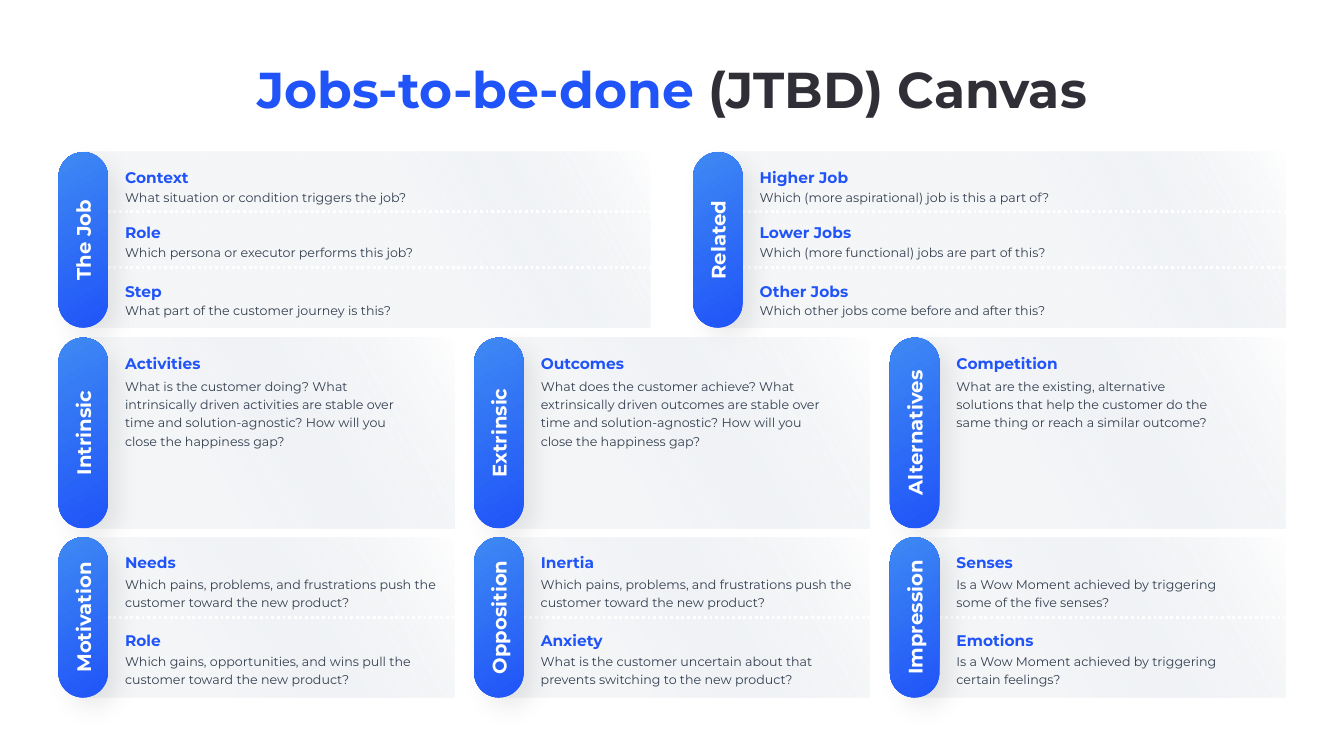
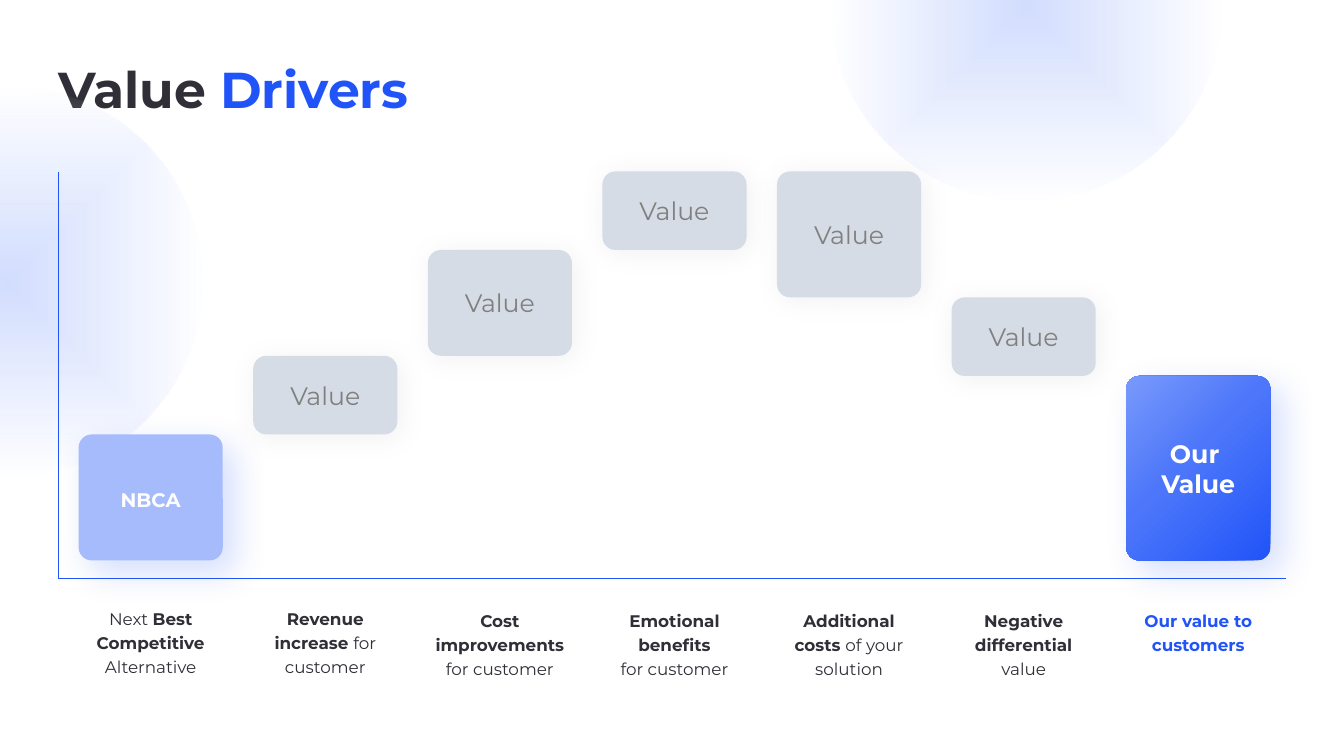
from pptx import Presentation
from pptx.dml.color import RGBColor
from pptx.enum.dml import MSO_LINE
from pptx.enum.shapes import MSO_CONNECTOR, MSO_SHAPE
from pptx.enum.text import MSO_ANCHOR, MSO_AUTO_SIZE, PP_ALIGN
from pptx.oxml import parse_xml
from pptx.oxml.ns import nsdecls, qn
from pptx.util import Inches, Pt

COLORS = {
    "blue": "2054F8", "sky": "3E89F3", "mid": "4D77FA", "pale": "7999FB",
    "light": "A6BBFC", "glow": "D2DDFE", "grey": "D6DCE5", "dim": "808080",
    "slate": "333F50", "ink": "302F37", "white": "FFFFFF", "black": "000000",
}
FONT = "Montserrat"
WIDTH, HEIGHT = 13.33, 7.5
MARGIN = 0.58
CONTENT = WIDTH - 2 * MARGIN
PILL = 0.49
LOOSE = 1.2

# Gradient stops: position, colour, opacity (all in percent but the colour)
PILL_STOPS = [(0, "blue", 100), (100, "sky", 100)]
VALUE_STOPS = [(0, "blue", 100), (56, "mid", 100), (100, "pale", 100)]
GLOW_STOPS = [(0, "glow", 100), (100, "glow", 0)]

# Shadows: colour, opacity, blur, distance
PILL_SHADOW = ("black", 8, 17, 10)
BLUE_SHADOW = ("blue", 18, 25, 12)
SOFT_SHADOW = ("black", 5, 20.5, 3)

HEADING = {"size": 11, "bold": True, "color": "blue"}
BODY = {"size": 9, "color": "slate"}
PILL_TEXT = {"size": 14, "bold": True, "color": "white"}
BOLD = {"bold": True}


def column(count, index, gap):
    """Left edge and width of one of several equal columns."""
    width = (CONTENT - gap * (count - 1)) / count
    return MARGIN + index * (width + gap), width


class Painter:
    def __init__(self):
        self.deck = Presentation()
        self.deck.slide_width, self.deck.slide_height = Inches(WIDTH), Inches(HEIGHT)
        self.page = None

    def new_page(self, title, align):
        self.page = self.deck.slides.add_slide(self.deck.slide_layouts[5])
        box = self.page.shapes.title
        place = {"left": MARGIN, "top": MARGIN, "width": CONTENT, "height": 1}
        for name, value in place.items():
            setattr(box, name, Inches(value))
        self.set_text(box, [title], {"size": 36, "bold": True, "color": "ink"}, align)

    def set_text(self, box, paras, style, align=PP_ALIGN.LEFT, anchor=MSO_ANCHOR.TOP,
                 spacing=None):
        """Fill a shape with paragraphs, each a list of (text, changes to the style)."""
        frame = box.text_frame
        settings = {"word_wrap": True, "auto_size": MSO_AUTO_SIZE.NONE, "vertical_anchor": anchor,
                    "margin_left": 0, "margin_top": 0, "margin_right": 0, "margin_bottom": 0}
        for name, value in settings.items():
            setattr(frame, name, value)
        for number, spans in enumerate(paras):
            para = frame.add_paragraph() if number else frame.paragraphs[0]
            para.alignment = align
            if spacing:
                para.line_spacing = spacing
            for text, changes in spans:
                self.add_spans(para, text, {"bold": False, **style, **changes})

    def add_spans(self, para, text, style):
        for number, line in enumerate(text.split("\n")):
            if number:
                para.add_line_break()
            if not line:
                continue
            span = para.add_run()
            span.text = line
            span.font.color.rgb = RGBColor.from_string(COLORS[style["color"]])
            values = {"name": FONT, "size": Pt(style["size"]), "bold": style["bold"]}
            for name, value in values.items():
                setattr(span.font, name, value)

    def text(self, left, top, width, height, spans, style, **layout):
        box = self.page.shapes.add_textbox(*map(Inches, (left, top, width, height)))
        self.set_text(box, [spans], style, spacing=LOOSE, **layout)

    def shape(self, kind, left, top, width, height, color=None, radius=None, shadow=None):
        box = self.page.shapes.add_shape(kind, *map(Inches, (left, top, width, height)))
        box.line.fill.background()
        box.shadow.inherit = False
        if color:
            box.fill.solid()
            box.fill.fore_color.rgb = RGBColor.from_string(COLORS[color])
        if radius:
            box.adjustments[0] = radius / min(width, height)
        if shadow:
            self.cast_shadow(box, *shadow)
        return box

    def cast_shadow(self, box, color, opacity, blur, distance):
        effects = box._element.spPr.find(qn("a:effectLst"))
        effects.append(parse_xml(
            f'<a:outerShdw {nsdecls("a")} blurRad="{Pt(blur)}" dist="{Pt(distance)}"'
            f' dir="{45 * 60000}" algn="tl" rotWithShape="0"><a:srgbClr val="{COLORS[color]}">'
            f'<a:alpha val="{opacity * 1000}"/></a:srgbClr></a:outerShdw>'))

    def gradient(self, box, stops, angle=None):
        """Blend along a clockwise angle, or outward from the centre without one."""
        marks = "".join(
            f'<a:gs pos="{position * 1000}"><a:srgbClr val="{COLORS[color]}">'
            f'<a:alpha val="{opacity * 1000}"/></a:srgbClr></a:gs>'
            for position, color, opacity in stops)
        if angle is None:
            course = ('<a:path path="shape"><a:fillToRect l="50000" t="50000"'
                      ' r="50000" b="50000"/></a:path>')
        else:
            course = f'<a:lin ang="{angle * 60000}" scaled="0"/>'
        box.fill.gradient()
        plain = box._element.spPr.find(qn("a:gradFill"))
        plain.getparent().replace(plain, parse_xml(
            f'<a:gradFill {nsdecls("a")} rotWithShape="1"><a:gsLst>{marks}</a:gsLst>'
            f'{course}</a:gradFill>'))

    def line(self, start, end, color, weight, dash=None):
        rule = self.page.shapes.add_connector(
            MSO_CONNECTOR.STRAIGHT, *map(Inches, (*start, *end)))
        rule.line.color.rgb = RGBColor.from_string(COLORS[color])
        rule.line.width = Pt(weight)
        if dash:
            rule.line.dash_style = dash
        rule._element.spPr.append(parse_xml(f'<a:effectLst {nsdecls("a")}/>'))
        return rule

    def panel(self, left, top, width, height, label, fade, dividers):
        """Fading card with dotted dividers and an upright pill on its left edge."""
        right = left + width
        card = self.shape(MSO_SHAPE.RECTANGLE, left + PILL / 2, top, width - PILL / 2, height)
        self.gradient(card, [(fade, "grey", 25), (100, "white", 100)], 330)
        for offset in dividers:
            level = top + offset
            rule = self.line((left + PILL, level), (right, level), "white", 2, MSO_LINE.ROUND_DOT)
            if offset == height / 2:
                rule.end_connect(card, 3)
        pill = self.shape(MSO_SHAPE.ROUNDED_RECTANGLE, left + (PILL - height) / 2,
                          top + (height - PILL) / 2, height, PILL,
                          radius=PILL / 2, shadow=PILL_SHADOW)
        pill.rotation = 270
        self.gradient(pill, PILL_STOPS, 330)
        self.set_text(pill, [[(label, {})]], PILL_TEXT, PP_ALIGN.CENTER, MSO_ANCHOR.MIDDLE)


PAINS = "Which pains, problems, and frustrations push the customer toward the new product?"
# Each row: frame and offsets, then panels as (label, text width, [(heading, question)])
CANVAS = [
    ({"top": 1.51, "height": 1.74, "gap": 0.42, "fade": 61, "dividers": [0.59, 1.14],
      "heads": [0.12, 0.67, 1.25], "drop": 0.13, "box": 0.27, "anchor": MSO_ANCHOR.BOTTOM}, [
        ("The Job", 3.26, [
            ("Context", "What situation or condition triggers the job?"),
            ("Role", "Which persona or executor performs this job?"),
            ("Step", "What part of the customer journey is this?")]),
        ("Related", 3.26, [
            ("Higher Job", "Which (more aspirational) job is this a part of?"),
            ("Lower Jobs", "Which (more functional) jobs are part of this?"),
            ("Other Jobs", "Which other jobs come before and after this?")])]),
    ({"top": 3.35, "height": 1.89, "gap": 0.2, "fade": 33, "dividers": [],
      "heads": [0.13], "drop": 0.25, "box": 0.25, "anchor": MSO_ANCHOR.TOP}, [
        ("Intrinsic", 2.89, [
            ("Activities", "What is the customer doing? What intrinsically driven activities are "
             "stable over time and solution-agnostic? How will you close the happiness gap?")]),
        ("Extrinsic", 2.85, [
            ("Outcomes", "What does the customer achieve? What extrinsically driven outcomes are "
             "stable over time and solution-agnostic? How will you close the happiness gap?")]),
        ("Alternatives", 2.63, [
            ("Competition", "What are the existing, alternative solutions that help the customer "
             "do the same thing or reach a similar outcome?")])]),
    ({"top": 5.33, "height": 1.59, "gap": 0.2, "fade": 31, "dividers": [1.59 / 2],
      "heads": [0.12, 0.89], "drop": 0.35, "box": 0.25, "anchor": MSO_ANCHOR.BOTTOM}, [
        ("Motivation", 3.26, [
            ("Needs", PAINS),
            ("Role", "Which gains, opportunities, and wins pull the customer "
             "toward the new product?")]),
        ("Opposition", 3.26, [
            ("Inertia", PAINS),
            ("Anxiety", "What is the customer uncertain about that prevents switching "
             "to the new product?")]),
        ("Impression", 2.9, [
            ("Senses", "Is a Wow Moment achieved by triggering some of the five senses?"),
            ("Emotions", "Is a Wow Moment achieved by triggering certain feelings?")])]),
]

# Each step: change of level in inches, label below the axis
STEPS = [
    (1.25, [("Next ", {}), ("Best Competitive ", BOLD), ("Alternative", {})]),
    (0.78, [("Revenue increase ", BOLD), ("for customer", {})]),
    (1.05, [("Cost improvements ", BOLD), ("for customer", {})]),
    (0.78, [("Emotional benefits\n", BOLD), ("for customer", {})]),
    (-1.25, [("Additional\ncosts ", BOLD), ("of your solution", {})]),
    (-0.78, [("Negative differential ", BOLD), ("value", {})]),
]
RESULT = [("Our value to customers", {"bold": True, "color": "blue"})]


def draw_canvas(painter):
    painter.new_page([("Jobs-to-be-done", {"color": "blue"}), (" (JTBD) Canvas", {})],
                     PP_ALIGN.CENTER)
    for row, panels in CANVAS:
        for index, (label, text_width, items) in enumerate(panels):
            left, width = column(len(panels), index, row["gap"])
            painter.panel(left, row["top"], width, row["height"], label,
                          row["fade"], row["dividers"])
            for offset, (heading, question) in zip(row["heads"], items):
                text_left, top = left + 0.66, row["top"] + offset
                painter.text(text_left, top, 1.92, row["box"], [(heading, {})], HEADING)
                painter.text(text_left, top + row["drop"], text_width, row["box"],
                             [(question, {})], BODY, anchor=row["anchor"])


def draw_drivers(painter):
    painter.new_page([("Value ", {}), ("Drivers", {"color": "blue"})], PP_ALIGN.LEFT)
    for left, top in ((-1.86, 0.86), (8.24, -1.88)):
        glow = painter.shape(MSO_SHAPE.OVAL, left, top, 3.87, 3.87)
        painter.gradient(glow, GLOW_STOPS)
    corner = (MARGIN, 5.74)
    painter.line((MARGIN, 1.71), corner, "blue", 0.5)
    painter.line(corner, (MARGIN + CONTENT, 5.74), "blue", 0.5)

    first, width, floor = MARGIN + 0.2, 1.43, 5.56
    pitch = (11.17 - first) / len(STEPS)
    level = floor

    def block(index, top, height, lines, style, color, shadow, spacing=None):
        box = painter.shape(MSO_SHAPE.ROUNDED_RECTANGLE, first + index * pitch, top, width,
                            height, color, 0.13, shadow)
        painter.set_text(box, [[(line, {})] for line in lines], style,
                         PP_ALIGN.CENTER, MSO_ANCHOR.MIDDLE, spacing)
        return box

    for index, (change, _) in enumerate(STEPS):
        top = min(level, level - change)
        if index:
            block(index, top, abs(change), ["Value"], {"size": 18, "color": "dim"},
                  "grey", SOFT_SHADOW)
        else:
            block(index, top, change, ["NBCA"], PILL_TEXT, "light", BLUE_SHADOW, LOOSE)
        level -= change
    total = block(len(STEPS), level, floor - level, ["Our ", "Value"],
                  {**PILL_TEXT, "size": 18}, None, BLUE_SHADOW)
    painter.gradient(total, VALUE_STOPS, 225)

    for index, label in enumerate([label for _, label in STEPS] + [RESULT]):
        painter.text(first + index * pitch, 6 if index < 2 else 6.02, width, 0.74, label,
                     {"size": 12, "color": "ink"}, align=PP_ALIGN.CENTER)


def main():
    painter = Painter()
    draw_canvas(painter)
    draw_drivers(painter)
    painter.deck.save("out.pptx")


if __name__ == "__main__":
    main()
